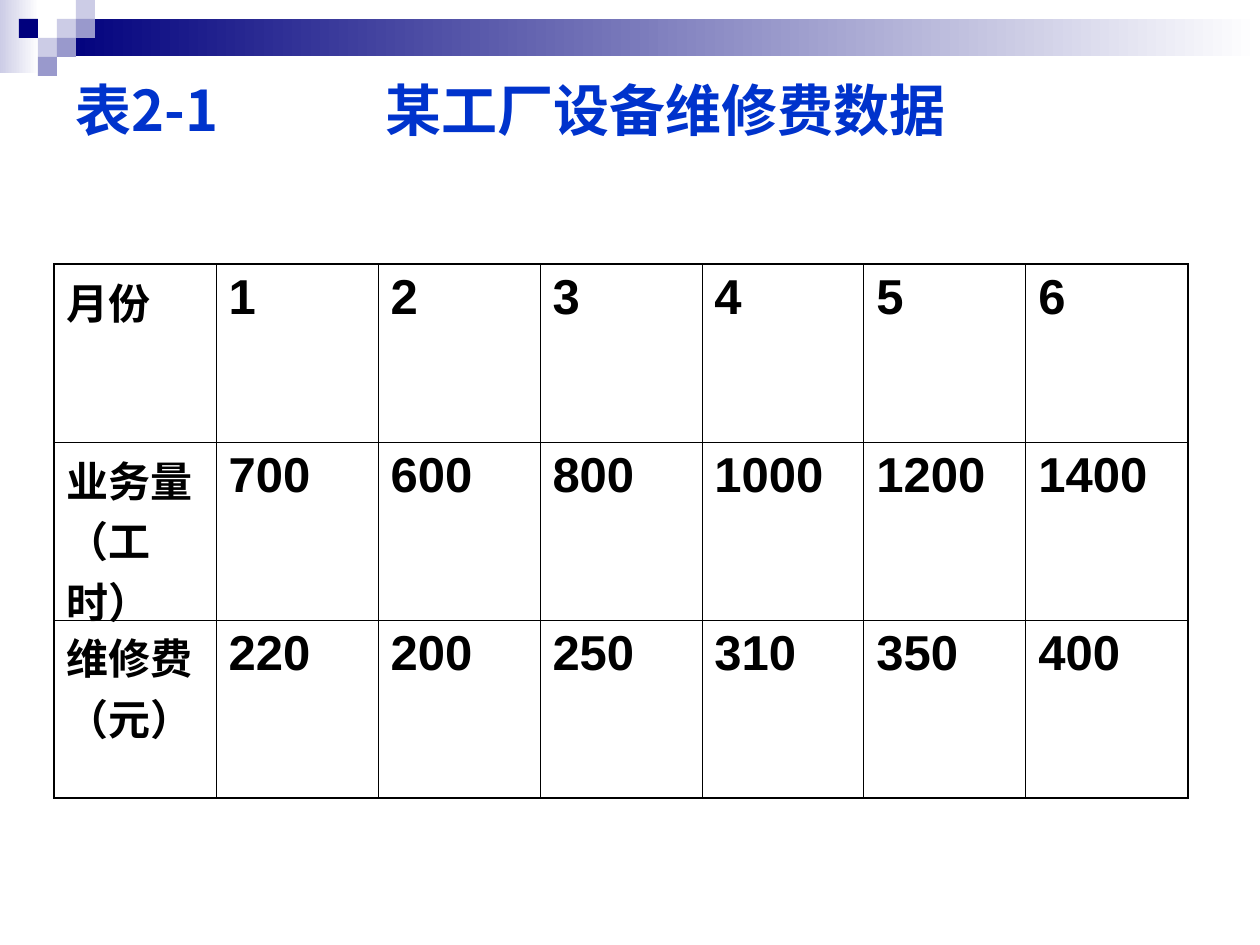
from typing import NamedTuple

from lxml.etree import SubElement
from pptx import Presentation
from pptx.dml.color import RGBColor
from pptx.enum.shapes import MSO_SHAPE
from pptx.enum.text import MSO_ANCHOR
from pptx.oxml.ns import qn
from pptx.slide import Slide
from pptx.table import _Cell
from pptx.text.text import _Paragraph
from pptx.util import Emu, Pt

SCALE = 914400 // 126
COLORS = {
    "navy": "00007D",
    "lilac": "9999CC",
    "pale": "CCCCE6",
    "white": "FFFFFF",
    "title": "0033CC",
    "black": "000000",
}
CJK_FONT = "Noto Sans CJK SC"
TILE = 19
COLUMN_WIDTH = 162
ROW_HEIGHT = 178
OUTER_LINE, INNER_LINE = 1.08, 0.45


class Band(NamedTuple):
    left: int
    top: int
    width: int
    height: int
    color: str


class Tile(NamedTuple):
    column: int
    row: int
    color: str


BANDS = [Band(0, 0, 39, 73, "pale"), Band(57, 19, 1203, 37, "navy")]
TILES = [
    Tile(3, 1, "pale"),
    Tile(4, 0, "pale"),
    Tile(4, 1, "lilac"),
    Tile(2, 2, "pale"),
    Tile(1, 1, "navy"),
    Tile(3, 2, "lilac"),
    Tile(2, 3, "lilac"),
]
COST_ROWS = [
    ["月份", "1", "2", "3", "4", "5", "6"],
    ["业务量（工时）", "700", "600", "800", "1000", "1200", "1400"],
    ["维修费（元）", "220", "200", "250", "310", "350", "400"],
]


def px(length: int) -> Emu:
    """Turn pixels into EMU."""
    return Emu(length * SCALE)


def rgb(name: str) -> RGBColor:
    """Look up a named colour."""
    return RGBColor.from_string(COLORS[name])


def add_band(page: Slide, band: Band, fades: bool) -> None:
    """Draw a borderless rectangle, solid or fading to white at the right."""
    shape = page.shapes.add_shape(
        MSO_SHAPE.RECTANGLE, px(band.left), px(band.top), px(band.width), px(band.height)
    )
    shape.shadow.inherit = False
    shape.line.fill.background()
    if fades:
        shape.fill.gradient()
        shape.fill.gradient_angle = 0
        for stop, color in zip(shape.fill.gradient_stops, (band.color, "white")):
            stop.color.rgb = rgb(color)
    else:
        shape.fill.solid()
        shape.fill.fore_color.rgb = rgb(band.color)


def add_span(para: _Paragraph, text: str, size: int, font: str, color: str) -> None:
    """Append a bold run with Latin and East Asian fonts."""
    span = para.add_run()
    span.text = text
    span.font.size = Pt(size)
    span.font.bold = True
    span.font.name = font
    span.font.color.rgb = rgb(color)
    SubElement(span.font._element, qn("a:ea"), typeface=CJK_FONT)


def add_title(page: Slide) -> None:
    """Write the table number and its caption, parted by a tab."""
    box = page.shapes.add_textbox(px(63), px(63), px(1134), px(189))
    frame = box.text_frame
    frame.word_wrap = True
    frame.vertical_anchor = MSO_ANCHOR.TOP
    frame.margin_top = px(13)
    para = frame.paragraphs[0]
    tabs = SubElement(para._p.get_or_add_pPr(), qn("a:tabLst"))
    SubElement(tabs, qn("a:tab"), pos=str(px(310)), algn="l")
    for text in ("表2-1", "\t", "某工厂设备维修费数据"):
        add_span(para, text, 32, CJK_FONT, "title")


def set_borders(cell: _Cell, widths: dict[str, float]) -> None:
    """Line the four sides of a cell in black."""
    properties = cell._tc.get_or_add_tcPr()
    for index, (side, width) in enumerate(widths.items()):
        line = properties.makeelement(qn(f"a:{side}"), {"w": str(Pt(width))})
        fill = SubElement(line, qn("a:solidFill"))
        SubElement(fill, qn("a:srgbClr"), val=COLORS["black"])
        properties.insert(index, line)


def add_cost_table(page: Slide) -> None:
    """Draw the monthly workload and repair cost table."""
    row_count, column_count = len(COST_ROWS), len(COST_ROWS[0])
    table = page.shapes.add_table(
        row_count,
        column_count,
        px(54),
        px(264),
        px(column_count * COLUMN_WIDTH),
        px(row_count * ROW_HEIGHT),
    ).table
    table.first_row = table.horz_banding = False
    for column in table.columns:
        column.width = px(COLUMN_WIDTH)
    for row_index, texts in enumerate(COST_ROWS):
        table.rows[row_index].height = px(ROW_HEIGHT)
        for column_index, text in enumerate(texts):
            cell = table.cell(row_index, column_index)
            cell.fill.background()
            edges = {
                "lnL": column_index == 0,
                "lnR": column_index == column_count - 1,
                "lnT": row_index == 0,
                "lnB": row_index == row_count - 1,
            }
            set_borders(
                cell,
                {side: OUTER_LINE if outer else INNER_LINE for side, outer in edges.items()},
            )
            size = 24 if column_index == 0 else 28
            add_span(cell.text_frame.paragraphs[0], text, size, "Arial", "black")


def main() -> None:
    """Build and save the slide."""
    deck = Presentation()
    deck.slide_width, deck.slide_height = px(1260), px(945)
    page = deck.slides.add_slide(deck.slide_layouts[6])
    for band in BANDS:
        add_band(page, band, fades=True)
    for tile in TILES:
        square = Band(tile.column * TILE, tile.row * TILE, TILE, TILE, tile.color)
        add_band(page, square, fades=False)
    add_title(page)
    add_cost_table(page)
    deck.save("out.pptx")


if __name__ == "__main__":
    main()
